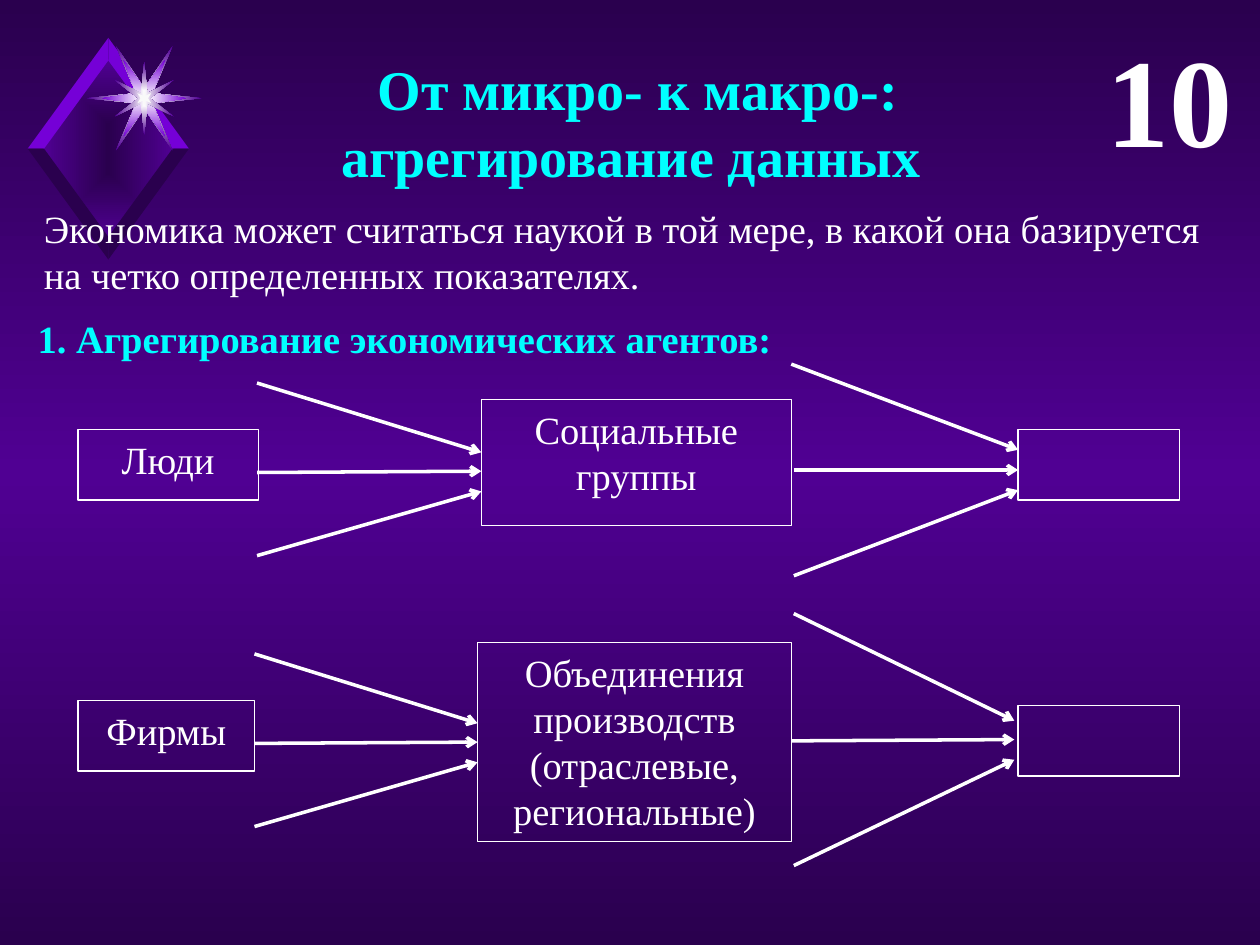
from pptx import Presentation
from pptx.dml.color import RGBColor
from pptx.enum.shapes import MSO_CONNECTOR, MSO_SHAPE
from pptx.enum.text import MSO_ANCHOR, MSO_AUTO_SIZE, PP_ALIGN
from pptx.oxml import parse_xml
from pptx.oxml.ns import nsdecls, qn
from pptx.util import Inches, Pt

WHITE, CYAN = "FFFFFF", "00FFFF"
DARK, MIDDLE, BRIGHT = "2A004E", "500093", "7500D7"
FONT = "Times New Roman"
LINEAR = '<a:lin ang="5400000" scaled="0"/>'
CENTERED = '<a:path path="rect"><a:fillToRect l="50000" t="50000" r="50000" b="50000"/></a:path>'


def paint(fill, properties, colors, direction=CENTERED):
    fill.solid()
    fill.fore_color.rgb = RGBColor.from_string(colors[0])
    if len(colors) > 1:
        step = 100000 // (len(colors) - 1)
        stops = "".join(
            f'<a:gs pos="{i * step}"><a:srgbClr val="{color}"/></a:gs>'
            for i, color in enumerate(colors)
        )
        gradient = parse_xml(
            f'<a:gradFill {nsdecls("a")} rotWithShape="1">'
            f"<a:gsLst>{stops}</a:gsLst>{direction}</a:gradFill>"
        )
        properties.replace(properties.find(qn("a:solidFill")), gradient)


def write(shape, lines, size, color, align, bold=False):
    frame = shape.text_frame
    frame.text = "\n".join(lines)
    frame.word_wrap = True
    frame.auto_size = MSO_AUTO_SIZE.SHAPE_TO_FIT_TEXT
    frame.vertical_anchor = MSO_ANCHOR.TOP
    for paragraph in frame.paragraphs:
        paragraph.alignment = align
        paragraph.line_spacing = 1.0
        paragraph.space_before = Pt(0)
        paragraph.font.name = FONT
        paragraph.font.size = Pt(size)
        paragraph.font.bold = bold
        paragraph.font.color.rgb = RGBColor.from_string(color)


presentation = Presentation()
presentation.slide_width = Inches(10)
presentation.slide_height = Inches(7.5)
slide = presentation.slides.add_slide(presentation.slide_layouts[5])
shapes = slide.shapes
background = slide.background.fill
background.solid()
paint(background, slide._element.cSld.bg.bgPr, [DARK, MIDDLE, DARK], LINEAR)

center_x, center_y = 0.86, 1.18
ornament = [([(0.86, 0.47), (0.34, 1.18), (0.86, 1.89), (1.38, 1.18)], [DARK, MIDDLE])]
for side_y, color in [(-1, BRIGHT), (1, DARK)]:
    for side_x in (1, -1):
        edge = [(0, 0.7), (0, 0.88), (0.64, 0), (0.51, 0)]
        points = [(center_x + side_x * x, center_y + side_y * y) for x, y in edge]
        ornament.append((points, [color]))

star_x, star_y = 1.145, 0.78
star_quarters = [
    ([(0.455, 0), (0.065, 0.04), (0.225, 0.415), (0, 0.08)], [WHITE, MIDDLE]),
    ([(0.335, 0), (0.065, 0.04), (0.165, 0.305), (0, 0.08)], [WHITE, BRIGHT]),
    ([(0.045, 0), (0.235, 0.145), (0.025, 0.04), (0, 0.29)], [WHITE, MIDDLE]),
    ([(0.03, 0), (0.055, 0.04), (0.01, 0.02), (0, 0.07)], ["F9F9F9"]),
]
for quarter, colors in star_quarters:
    half = quarter + [(-x, y) for x, y in quarter[-2::-1]]
    outline = half + [(x, -y) for x, y in half[-2:0:-1]]
    ornament.append(([(star_x + x, star_y + y) for x, y in outline], colors))

for points, colors in ornament:
    vertices = [(Inches(x), Inches(y)) for x, y in points]
    builder = shapes.build_freeform(*vertices[0])
    builder.add_line_segments(vertices[1:], close=True)
    shape = builder.convert_to_shape()
    shape.shadow.inherit = False
    shape.line.fill.background()
    paint(shape.fill, shape._element.spPr, colors)

title = shapes.title
title.left, title.top, title.width, title.height = map(Inches, (0.2, 0.38, 9.62, 1.18))
write(title, [" От микро- к макро-:", "агрегирование данных"], 32, CYAN, PP_ALIGN.CENTER, True)

texts = [
    ((8.63, 0.12, 1.25, 1.31), "10", 72, WHITE, PP_ALIGN.RIGHT, True),
    ((0.2, 2.45, 6.09, 0.47), "1. Агрегирование экономических агентов:", 22, CYAN,
     PP_ALIGN.JUSTIFY, True),
    ((0.25, 1.58, 9.57, 0.84),
     "Экономика может считаться наукой в той мере, в какой она базируется "
     "на четко определенных показателях.", 22, WHITE, PP_ALIGN.LEFT, False),
]
for place, text, size, color, align, bold in texts:
    write(shapes.add_textbox(*map(Inches, place)), [text], size, color, align, bold)

boxes = [
    ((0.62, 3.41, 1.43, 0.56), ["Люди"]),
    ((3.82, 3.17, 2.46, 1), ["Социальные группы"]),
    ((8.08, 3.41, 1.28, 0.56), []),
    ((0.62, 5.56, 1.4, 0.56), ["Фирмы"]),
    ((3.79, 5.1, 2.49, 1.58), ["Объединения производств", "(отраслевые, региональные)"]),
    ((8.08, 5.6, 1.28, 0.56), []),
]
for place, lines in boxes:
    box = shapes.add_shape(MSO_SHAPE.RECTANGLE, *map(Inches, place))
    box.shadow.inherit = False
    box.fill.background()
    box.line.color.rgb = RGBColor.from_string(WHITE)
    box.line.width = Pt(0.75)
    if lines:
        write(box, lines, 22, WHITE, PP_ALIGN.CENTER)

arrow_fans = [
    (3.82, [(2.04, 3.04, 3.59), (2.04, 3.75, 3.74), (2.04, 4.41, 3.9)]),
    (8.08, [(6.28, 2.89, 3.57), (6.3, 3.73, 3.73), (6.3, 4.57, 3.89)]),
    (3.79, [(2.02, 5.19, 5.74), (2.02, 5.9, 5.89), (2.02, 6.56, 6.05)]),
    (8.05, [(6.3, 4.87, 5.72), (6.28, 5.88, 5.87), (6.3, 6.87, 6.03)]),
]
for end_x, arrows in arrow_fans:
    for start_x, start_y, end_y in arrows:
        arrow = shapes.add_connector(
            MSO_CONNECTOR.STRAIGHT, *map(Inches, (start_x, start_y, end_x, end_y))
        )
        arrow.line.color.rgb = RGBColor.from_string(WHITE)
        arrow.line.width = Pt(2)
        arrow.line._get_or_add_ln().append(
            parse_xml(f'<a:tailEnd {nsdecls("a")} type="arrow"/>')
        )
        arrow._element.spPr.append(parse_xml(f'<a:effectLst {nsdecls("a")}/>'))

presentation.save("out.pptx")
